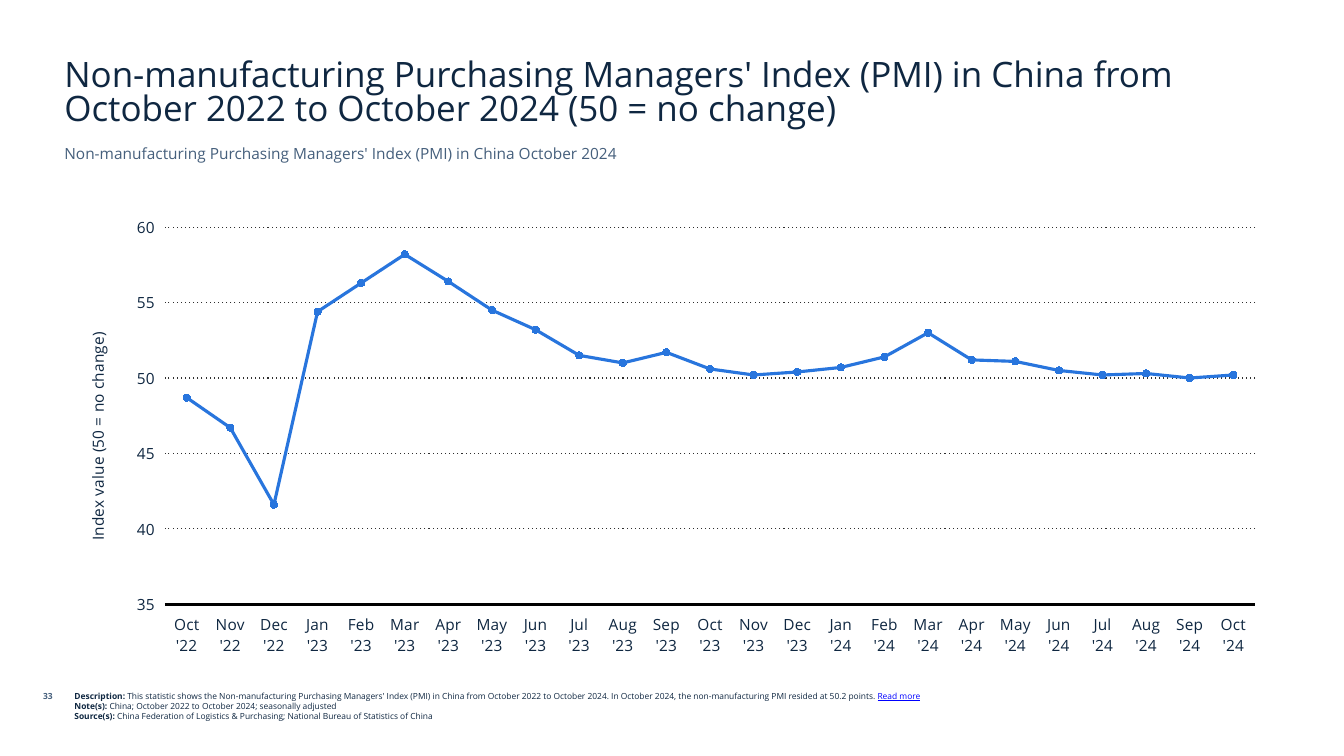
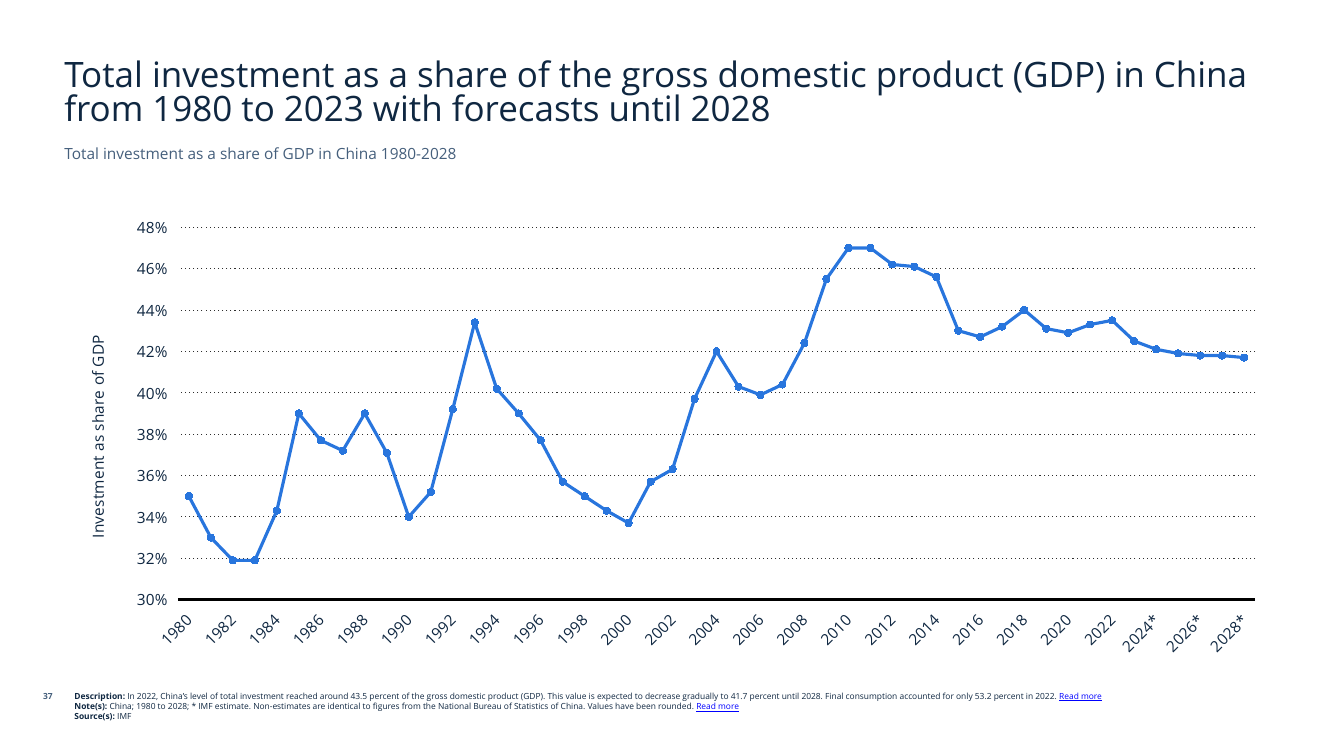
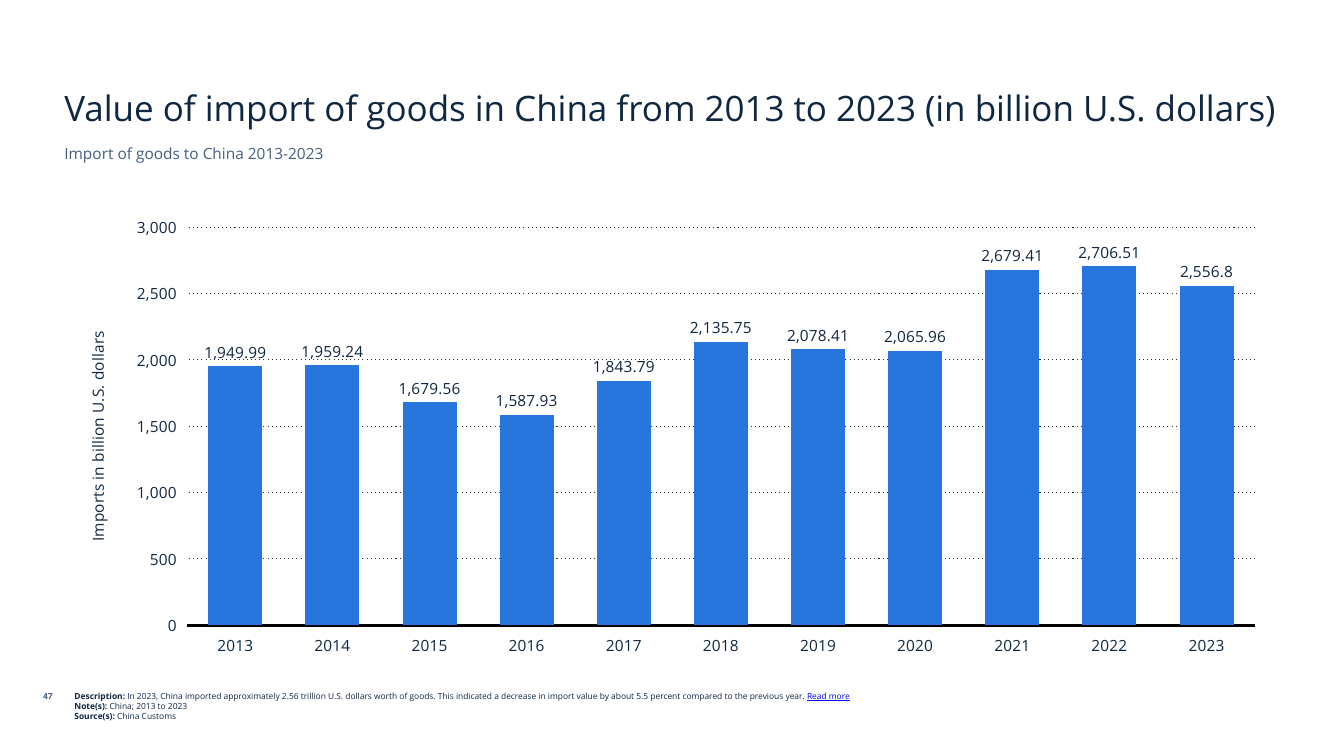
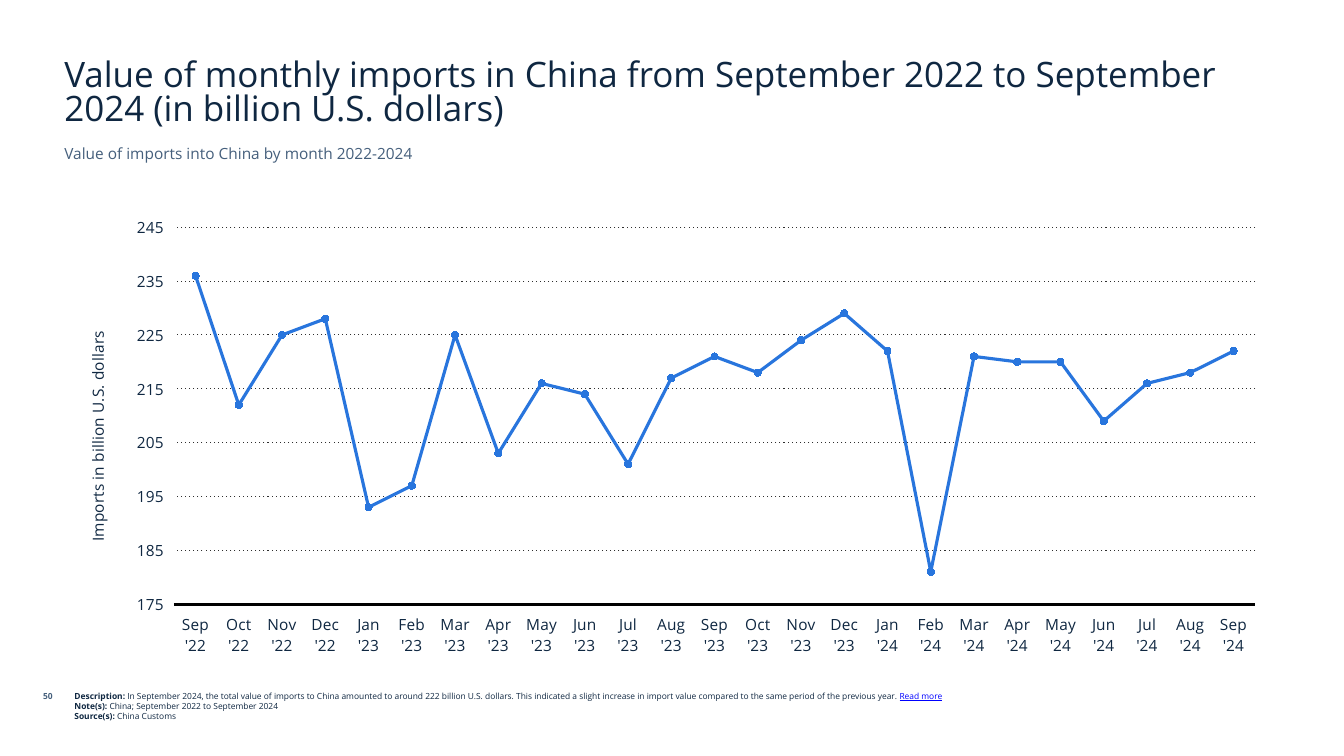
from itertools import islice, product

from pptx import Presentation
from pptx.chart.data import CategoryChartData
from pptx.dml.color import RGBColor
from pptx.enum.chart import (XL_CHART_TYPE, XL_LABEL_POSITION, XL_MARKER_STYLE,
                             XL_TICK_LABEL_POSITION, XL_TICK_MARK)
from pptx.enum.dml import MSO_LINE
from pptx.enum.text import MSO_ANCHOR, PP_ALIGN
from pptx.oxml.ns import qn
from pptx.util import Pt

EMU_PER_PX = 9144
NAVY, SLATE, BLUE = "0F2741", "455F7C", "2875DD"
GRID, BLACK, LINK = "2F2F2F", "000000", "0000FF"
FONT = "Open Sans"
MONTHS = "Jan Feb Mar Apr May Jun Jul Aug Sep Oct Nov Dec".split()


def px(n):
    return int(n * EMU_PER_PX)


def rgb(color):
    return RGBColor.from_string(color)


def style_font(font, size, color=NAVY, bold=False):
    font.name, font.size, font.bold = FONT, Pt(size), bold
    font.color.rgb = rgb(color)


def add_box(slide, x, y, w, h, anchor=MSO_ANCHOR.TOP):
    tf = slide.shapes.add_textbox(px(x), px(y), px(w), px(h)).text_frame
    tf.word_wrap = True
    tf.vertical_anchor = anchor
    return tf


def add_run(p, text, size, color=NAVY, bold=False):
    r = p.add_run()
    r.text = text
    style_font(r.font, size, color, bold)
    return r


def add_footer(slide, number, notes):
    """Page number and source notes; a note is (label, text, has "Read more")."""
    p = add_box(slide, 0, 681, 62, 30).paragraphs[0]
    p.alignment = PP_ALIGN.RIGHT
    add_run(p, str(number), 6, SLATE, True)

    tf = add_box(slide, 64, 681, 1047, 58)
    for i, (label, text, more) in enumerate(notes):
        p = tf.add_paragraph() if i else tf.paragraphs[0]
        add_run(p, f"{label}: ", 6, bold=True)
        add_run(p, f"{text} " if more else text, 6)
        if more:
            add_run(p, "Read more", 6, LINK).font.underline = True


def add_slide(prs, number, title, subtitle, notes):
    slide = prs.slides.add_slide(prs.slide_layouts[6])
    p = add_box(slide, 54, 46, 1224, 86, MSO_ANCHOR.BOTTOM).paragraphs[0]
    p.line_spacing = 0.8
    add_run(p, title, 25)
    add_run(add_box(slide, 54, 138, 1224, 34).paragraphs[0], subtitle, 11, SLATE)
    add_footer(slide, number, notes)
    return slide


def style_axes(chart, title, low, high, step, number_format):
    for axis in (chart.category_axis, chart.value_axis):
        axis.major_tick_mark = axis.minor_tick_mark = XL_TICK_MARK.NONE
        axis.tick_label_position = XL_TICK_LABEL_POSITION.LOW
        style_font(axis.tick_labels.font, 11)
    line = chart.category_axis.format.line
    line.width = Pt(2)
    line.color.rgb = rgb(BLACK)

    axis = chart.value_axis
    axis.minimum_scale, axis.maximum_scale, axis.major_unit = low, high, step
    axis.tick_labels.number_format = number_format
    axis.tick_labels.number_format_is_linked = False
    axis.format.line.fill.background()
    add_run(axis.axis_title.text_frame.paragraphs[0], title, 11)
    grid = axis.major_gridlines.format.line
    grid.width = Pt(0.75)
    grid.color.rgb = rgb(GRID)
    grid.dash_style = MSO_LINE.ROUND_DOT
    # The wider-spaced "dot" preset has no member in MSO_LINE.
    for dash in axis._element.iter(qn("a:prstDash")):
        dash.set("val", "dot")


def add_chart(slide, kind, cats, vals, title, scale, number_format="#,##0"):
    data = CategoryChartData()
    data.categories = cats
    data.add_series("Series 1", vals)
    chart = slide.shapes.add_chart(kind, px(64), px(206), px(1205), px(454), data).chart
    chart.has_legend = chart.has_title = False
    style_font(chart.font, 11)
    style_axes(chart, title, *scale, number_format)
    chart.plots[0].vary_by_categories = False
    return chart


def add_line_chart(slide, *args):
    chart = add_chart(slide, XL_CHART_TYPE.LINE_MARKERS, *args)
    series = chart.plots[0].series[0]
    series.smooth = False
    series.format.line.width = Pt(2.25)
    series.format.line.color.rgb = rgb(BLUE)
    marker = series.marker
    marker.style, marker.size = XL_MARKER_STYLE.CIRCLE, 5
    marker.format.fill.solid()
    marker.format.fill.fore_color.rgb = rgb(BLUE)
    marker.format.line.color.rgb = rgb(BLUE)


def add_column_chart(slide, *args):
    plot = add_chart(slide, XL_CHART_TYPE.COLUMN_CLUSTERED, *args).plots[0]
    plot.gap_width, plot.overlap = 80, -30
    fill = plot.series[0].format.fill
    fill.solid()
    fill.fore_color.rgb = rgb(BLUE)
    plot.has_data_labels = True
    labels = plot.data_labels
    labels.show_value = True
    labels.position = XL_LABEL_POSITION.OUTSIDE_END
    labels.number_format, labels.number_format_is_linked = "#,##0.##", False
    style_font(labels.font, 11)


def month_labels(first, count):
    """Month labels that begin with the given month of 2022."""
    labels = (f"{month} '{year}" for year, month in product((22, 23, 24), MONTHS))
    start = MONTHS.index(first)
    return list(islice(labels, start, start + count))


def main():
    prs = Presentation()
    prs.slide_width, prs.slide_height = px(1333), px(750)

    slide = add_slide(
        prs, 33,
        "Non-manufacturing Purchasing Managers' Index (PMI) in China from October 2022 "
        "to October 2024 (50 = no change)",
        "Non-manufacturing Purchasing Managers' Index (PMI) in China October 2024",
        [("Description", "This statistic shows the Non-manufacturing Purchasing Managers' "
          "Index (PMI) in China from October 2022 to October 2024. In October 2024, the "
          "non-manufacturing PMI resided at 50.2 points.", True),
         ("Note(s)", "China; October 2022 to October 2024; seasonally adjusted", False),
         ("Source(s)", "China Federation of Logistics & Purchasing; National Bureau of "
          "Statistics of China", False)])
    pmi = [48.7, 46.7, 41.6, 54.4, 56.3, 58.2, 56.4, 54.5, 53.2, 51.5, 51, 51.7, 50.6,
           50.2, 50.4, 50.7, 51.4, 53, 51.2, 51.1, 50.5, 50.2, 50.3, 50, 50.2]
    add_line_chart(slide, month_labels("Oct", len(pmi)), pmi,
                   "Index value (50 = no change)", (35, 60, 5))

    slide = add_slide(
        prs, 37,
        "Total investment as a share of the gross domestic product (GDP) in China from "
        "1980 to 2023 with forecasts until 2028",
        "Total investment as a share of GDP in China 1980-2028",
        [("Description", "In 2022, China’s level of total investment reached around 43.5 "
          "percent of the gross domestic product (GDP). This value is expected to decrease "
          "gradually to 41.7 percent until 2028. Final consumption accounted for only 53.2 "
          "percent in 2022.", True),
         ("Note(s)", "China; 1980 to 2028; * IMF estimate. Non-estimates are identical to "
          "figures from the National Bureau of Statistics of China. Values have been "
          "rounded.", True),
         ("Source(s)", "IMF", False)])
    investment = [
        0.35, 0.33, 0.319, 0.319, 0.343, 0.39, 0.377, 0.372, 0.39, 0.371,
        0.34, 0.352, 0.392, 0.434, 0.402, 0.39, 0.377, 0.357, 0.35, 0.343,
        0.337, 0.357, 0.363, 0.397, 0.42, 0.403, 0.399, 0.404, 0.424, 0.455,
        0.47, 0.47, 0.462, 0.461, 0.456, 0.43, 0.427, 0.432, 0.44, 0.431,
        0.429, 0.433, 0.435, 0.425, 0.421, 0.419, 0.418, 0.418, 0.417]
    years = [f"{year}*" if year > 2022 else str(year) for year in range(1980, 2029)]
    add_line_chart(slide, years, investment, "Investment as share of GDP",
                   (0.3, 0.48, 0.02), "#,##0%")

    slide = add_slide(
        prs, 47,
        "Value of import of goods in China from 2013 to 2023 (in billion U.S. dollars)",
        "Import of goods to China 2013-2023",
        [("Description", "In 2023, China imported approximately 2.56 trillion U.S. dollars "
          "worth of goods. This indicated a decrease in import value by about 5.5 percent "
          "compared to the previous year.", True),
         ("Note(s)", "China; 2013 to 2023", False),
         ("Source(s)", "China Customs", False)])
    yearly_imports = [1949.99, 1959.24, 1679.56, 1587.93, 1843.79, 2135.75, 2078.41,
                      2065.96, 2679.41, 2706.51, 2556.8]
    add_column_chart(slide, [str(year) for year in range(2013, 2024)], yearly_imports,
                     "Imports in billion U.S. dollars", (0, 3000, 500))

    slide = add_slide(
        prs, 50,
        "Value of monthly imports in China from September 2022 to September 2024 "
        "(in billion U.S. dollars)",
        "Value of imports into China by month 2022-2024",
        [("Description", "In September 2024, the total value of imports to China amounted "
          "to around 222 billion U.S. dollars. This indicated a slight increase in import "
          "value compared to the same period of the previous year.", True),
         ("Note(s)", "China; September 2022 to September 2024", False),
         ("Source(s)", "China Customs", False)])
    monthly_imports = [236, 212, 225, 228, 193, 197, 225, 203, 216, 214, 201, 217, 221,
                       218, 224, 229, 222, 181, 221, 220, 220, 209, 216, 218, 222]
    add_line_chart(slide, month_labels("Sep", len(monthly_imports)), monthly_imports,
                   "Imports in billion U.S. dollars", (175, 245, 10))

    prs.save("out.pptx")


if __name__ == "__main__":
    main()
